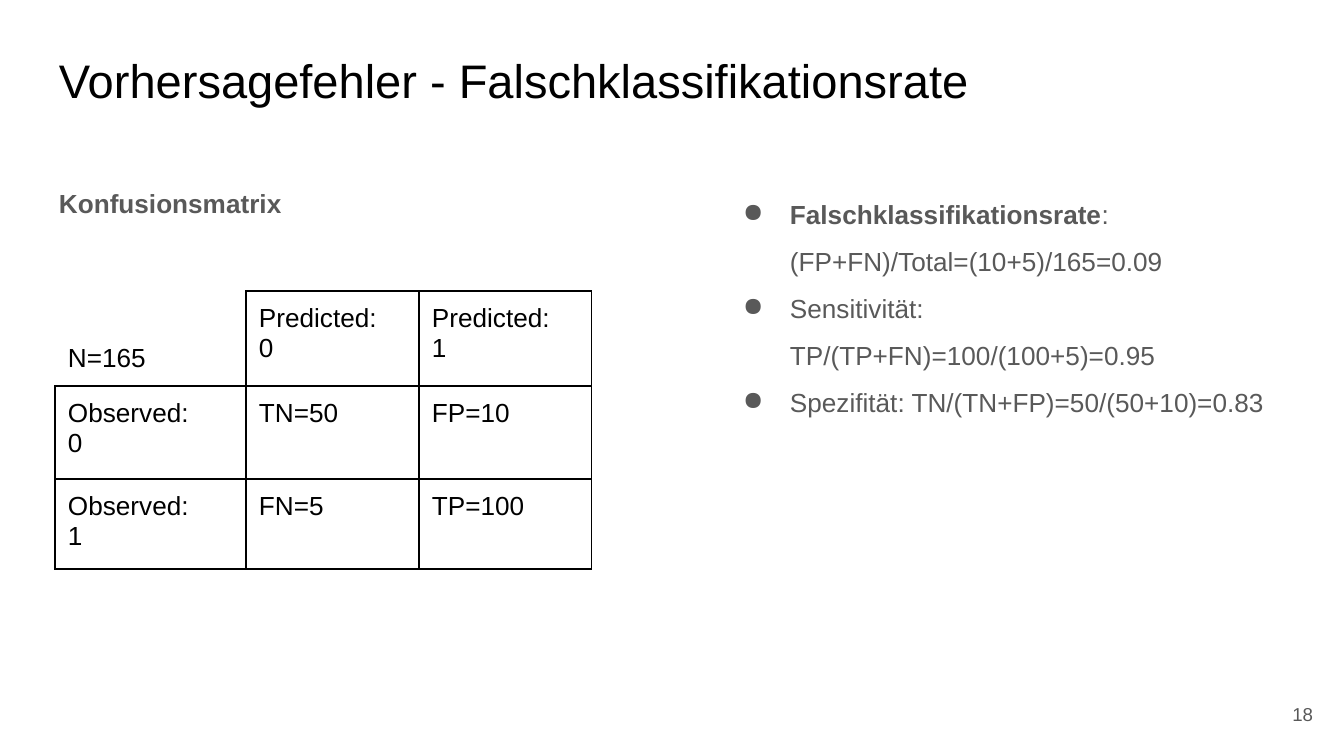
from lxml.etree import SubElement
from pptx import Presentation
from pptx.dml.color import RGBColor
from pptx.enum.text import MSO_ANCHOR, PP_ALIGN
from pptx.oxml import parse_xml
from pptx.oxml.ns import nsdecls, qn
from pptx.util import Emu, Pt

PX = 914400 / 134.4
FONT, BLACK, GRAY = "Arial", "000000", "595959"
PAD = 13

# Content: text runs are (text, bold)
TITLE = "Vorhersagefehler - Falschklassifikationsrate"
HEADING = "Konfusionsmatrix"
MEASURES = [
    [("Falschklassifikationsrate", True), (": (FP+FN)/Total=(10+5)/165=0.09", False)],
    [("Sensitivität: TP/(TP+FN)=100/(100+5)=0.95", False)],
    [("Spezifität: TN/(TN+FP)=50/(50+10)=0.83", False)],
]
MATRIX = [
    ["N=165", "Predicted:\n0", "Predicted:\n1"],
    ["Observed:\n0", "TN=50", "FP=10"],
    ["Observed:\n1", "FN=5", "TP=100"],
]
COL_WIDTHS = [191, 173, 173]
ROW_HEIGHTS = [95, 93, 90]
PAGE = "18"


def px(n):
    return Emu(round(n * PX))


def rgb(color):
    return RGBColor.from_string(color)


def add_run(p, text, size, color, bold=False):
    r = p.add_run()
    r.text = text
    r.font.name, r.font.size, r.font.bold = FONT, Pt(size), bold
    r.font.color.rgb = rgb(color)


def set_margins(obj):
    obj.margin_left = obj.margin_right = px(PAD)
    obj.margin_top = obj.margin_bottom = px(PAD)


def add_box(slide, x, y, w, h, paragraphs, size, color, spacing=1.0):
    tf = slide.shapes.add_textbox(px(x), px(y), px(w), px(h)).text_frame
    tf.word_wrap = True
    set_margins(tf)
    for i, runs in enumerate(paragraphs):
        p = tf.paragraphs[0] if i == 0 else tf.add_paragraph()
        p.line_spacing = spacing
        for text, bold in runs:
            add_run(p, text, size, color, bold)
    return tf


def add_bullet(p):
    pPr = p._p.get_or_add_pPr()
    pPr.set("marL", str(px(67)))
    pPr.set("indent", str(-px(47)))
    color = SubElement(SubElement(pPr, qn("a:buClr")), qn("a:srgbClr"))
    color.set("val", GRAY)
    SubElement(pPr, qn("a:buChar")).set("char", "●")


def set_borders(cell, visible):
    tcPr = cell._tc.get_or_add_tcPr()
    for i, side in enumerate("LRTB"):
        fill = (f'<a:solidFill><a:srgbClr val="{BLACK}"/></a:solidFill>'
                if side in visible else "<a:noFill/>")
        tcPr.insert(i, parse_xml(
            f'<a:ln{side} {nsdecls("a")} w="{Pt(0.75)}">{fill}</a:ln{side}>'))


def add_matrix(slide, x, y):
    table = slide.shapes.add_table(
        len(MATRIX), len(MATRIX[0]), px(x), px(y),
        px(sum(COL_WIDTHS)), px(sum(ROW_HEIGHTS))).table
    table.first_row = table.horz_banding = False
    for col, width in zip(table.columns, COL_WIDTHS):
        col.width = px(width)
    for row, height, texts in zip(table.rows, ROW_HEIGHTS, MATRIX):
        row.height = px(height)
        for cell, text in zip(row.cells, texts):
            corner = text == MATRIX[0][0]
            cell.fill.background()
            set_margins(cell)
            cell.vertical_anchor = MSO_ANCHOR.BOTTOM if corner else MSO_ANCHOR.TOP
            set_borders(cell, "RB" if corner else "LRTB")
            tf = cell.text_frame
            for i, line in enumerate(text.split("\n")):
                p = tf.paragraphs[0] if i == 0 else tf.add_paragraph()
                add_run(p, line, 14, BLACK)


def main():
    prs = Presentation()
    prs.slide_width, prs.slide_height = px(1344), px(756)
    slide = prs.slides.add_slide(prs.slide_layouts[6])

    # Title
    add_box(slide, 46, 39, 1252, 84, [[(TITLE, False)]], 25.2, BLACK)

    # Confusion matrix
    add_matrix(slide, 55, 291)

    # Page number
    tf = add_box(slide, 1246, 685, 80, 58, [[(PAGE, False)]], 10, GRAY)
    tf.vertical_anchor = MSO_ANCHOR.MIDDLE
    tf.paragraphs[0].alignment = PP_ALIGN.RIGHT

    # Matrix heading
    tf = add_box(slide, 46, 170, 587, 66, [[(HEADING, True)]], 14, GRAY, 1.15)
    tf.paragraphs[0].space_after = Pt(12)

    # Error measures
    tf = add_box(slide, 710, 170, 587, 503, MEASURES, 14, GRAY, 1.5)
    for p in tf.paragraphs:
        add_bullet(p)

    prs.save("out.pptx")


if __name__ == "__main__":
    main()
